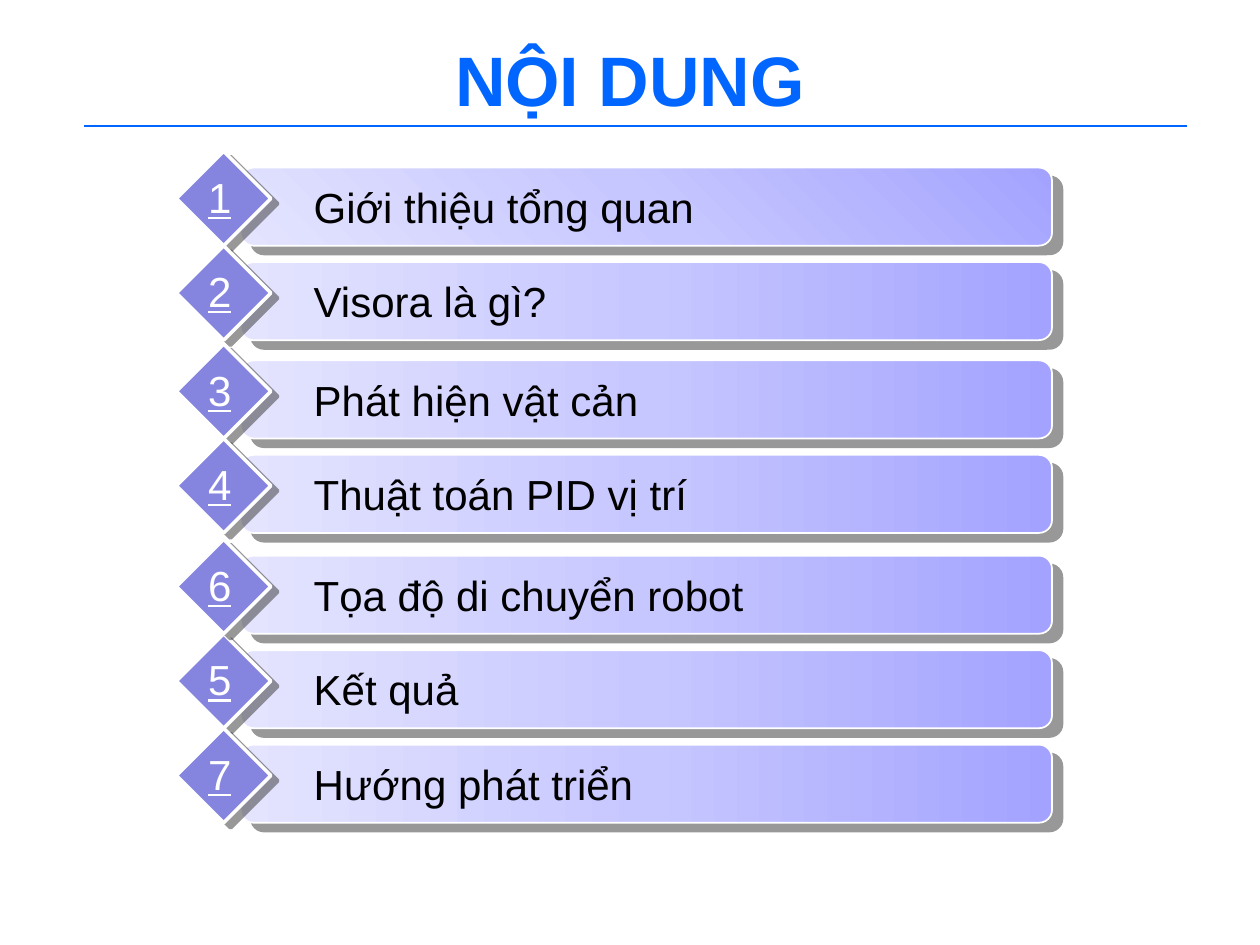
from lxml.etree import SubElement
from pptx import Presentation
from pptx.dml.color import RGBColor
from pptx.enum.shapes import MSO_CONNECTOR, MSO_SHAPE
from pptx.enum.text import MSO_ANCHOR, MSO_AUTO_SIZE, PP_ALIGN
from pptx.oxml.ns import qn
from pptx.util import Inches, Pt

TITLE = "NỘI DUNG"
# number, topic, top of the row; later rows lie over earlier ones
ROWS = [
    ("1", "Giới thiệu tổng quan", 1.2),
    ("2", "Visora là gì?", 1.95),
    ("3", "Phát hiện vật cản", 2.73),
    ("4", "Thuật toán PID vị trí", 3.48),
    ("5", "Kết quả", 5.03),
    ("7", "Hướng phát triển", 5.78),
    ("6", "Tọa độ di chuyển robot", 4.28),
]
BLUE, WHITE, BLACK = "0066FF", "FFFFFF", "000000"
DIAMOND, SHADOW = "8585E0", "333333"
BAR_STOPS = [(0, "A3A3FF"), (50, "C7C7FF"), (100, "E4E4FF")]


def rgb(value):
    return RGBColor.from_string(value)


def child(parent, tag, **attributes):
    return SubElement(parent, qn(tag), {k: str(v) for k, v in attributes.items()})


def add_gradient(shape, radial):
    """Fade leftwards, or outwards from the top right corner if radial."""
    properties = shape.fill._xPr
    gradient = child(properties, "a:gradFill", rotWithShape=1)
    properties.find(qn("a:prstGeom")).addnext(gradient)
    stops = child(gradient, "a:gsLst")
    for position, color in BAR_STOPS:
        stop = child(stops, "a:gs", pos=position * 1000)
        child(stop, "a:srgbClr", val=color)
    if radial:
        circle = child(gradient, "a:path", path="circle")
        child(circle, "a:fillToRect", l=100000, b=100000)
    else:
        child(gradient, "a:lin", ang=180 * 60000, scaled=1)


def add_outlined(group, kind, box, line_width, distance, angle):
    """Add a white-edged shape with a hard, half-transparent shadow."""
    shape = group.shapes.add_shape(kind, *map(Inches, box))
    shape.line.color.rgb = rgb(WHITE)
    shape.line.width = Pt(line_width)
    shape.shadow.inherit = False
    effects = shape._element.spPr.find(qn("a:effectLst"))
    shadow = child(effects, "a:outerShdw", dist=Pt(distance), dir=angle * 60000,
                   algn="ctr", rotWithShape=0)
    child(child(shadow, "a:srgbClr", val=SHADOW), "a:alpha", val=50000)
    return shape


def add_text(parent, text, box, size, color, wrap=True, align=PP_ALIGN.LEFT):
    label = parent.shapes.add_textbox(*map(Inches, box))
    frame = label.text_frame
    frame.text = text
    frame.word_wrap = wrap
    paragraph = frame.paragraphs[0]
    paragraph.alignment = align
    font = paragraph.runs[0].font
    font.name, font.size = "Arial", Pt(size)
    font.color.rgb = rgb(color)
    return frame, font


def add_row(slide, number, topic, top):
    group = slide.shapes.add_group_shape()
    bar = add_outlined(group, MSO_SHAPE.ROUNDED_RECTANGLE,
                       (1.91, top + 0.13, 6.44, 0.62), 1, 7.8, 40)
    bar.adjustments[0] = 0.167
    add_gradient(bar, radial=number == "1")

    diamond = add_outlined(group, MSO_SHAPE.DIAMOND, (1.4, top, 0.75, 0.75), 2, 5, 37)
    diamond.fill.solid()
    diamond.fill.fore_color.rgb = rgb(DIAMOND)

    topic_frame, _ = add_text(group, topic, (2.3, top + 0.19, 5.06, 0.51), 24, BLACK)
    topic_frame.margin_left = Inches(0.19)
    number_frame, number_font = add_text(
        group, number, (1.55, top + 0.11, 0.39, 0.51), 24, WHITE,
        wrap=False, align=PP_ALIGN.CENTER)
    number_font.underline = True
    for frame in (topic_frame, number_frame):
        frame.auto_size = MSO_AUTO_SIZE.SHAPE_TO_FIT_TEXT


def main():
    deck = Presentation()
    deck.slide_width, deck.slide_height = Inches(10), Inches(7.5)
    slide = deck.slides.add_slide(deck.slide_layouts[6])

    rule = slide.shapes.add_connector(
        MSO_CONNECTOR.STRAIGHT, Inches(0.67), Inches(1), Inches(9.42), Inches(1))
    rule.line.color.rgb = rgb(BLUE)
    rule.line.width = Pt(1)
    child(rule._element.spPr, "a:effectLst")

    title_frame, title_font = add_text(
        slide, TITLE, (0, 0, 10, 1.25), 40, BLUE, align=PP_ALIGN.CENTER)
    title_frame.vertical_anchor = MSO_ANCHOR.MIDDLE
    title_font.bold = True

    for row in ROWS:
        add_row(slide, *row)
    deck.save("out.pptx")


if __name__ == "__main__":
    main()
